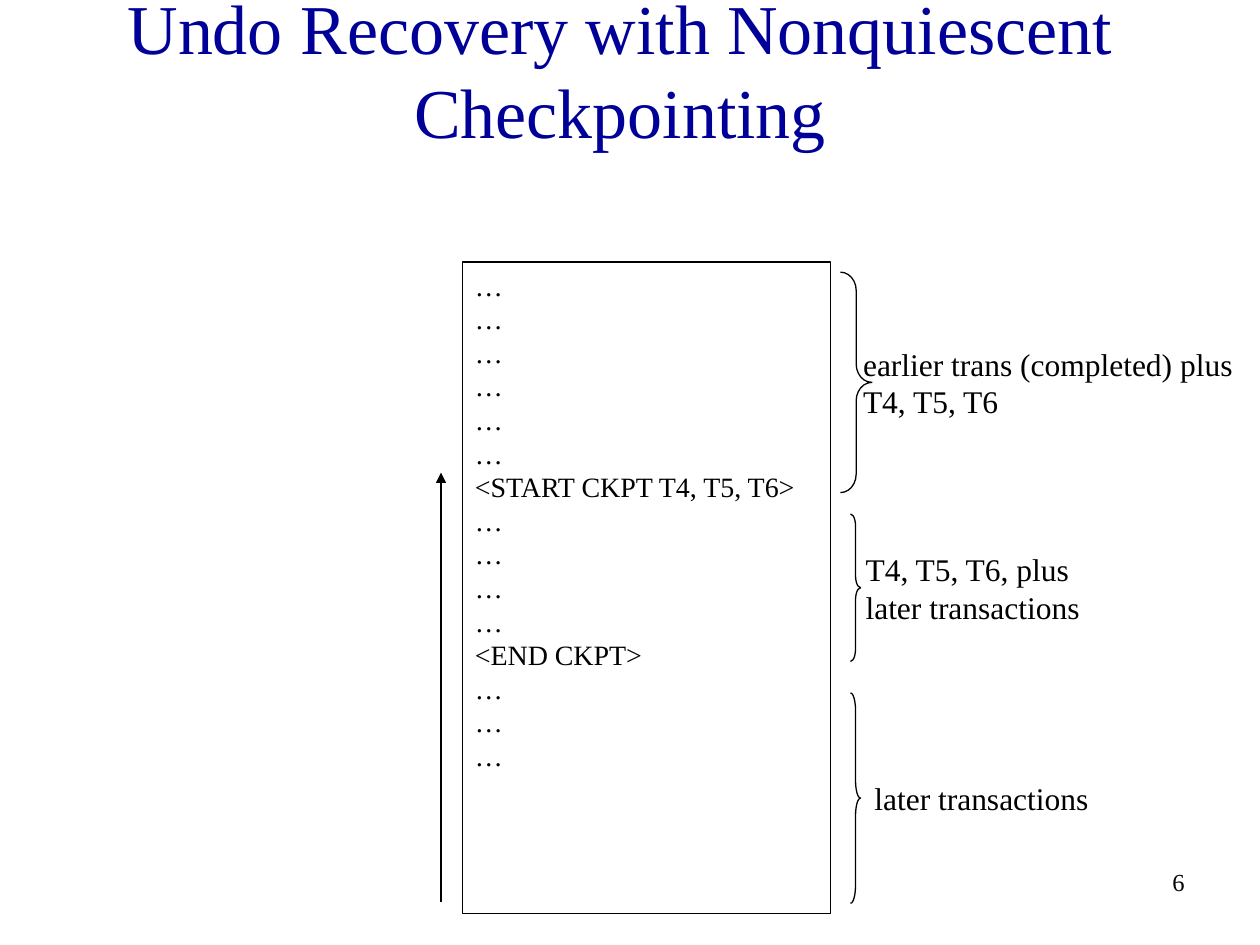
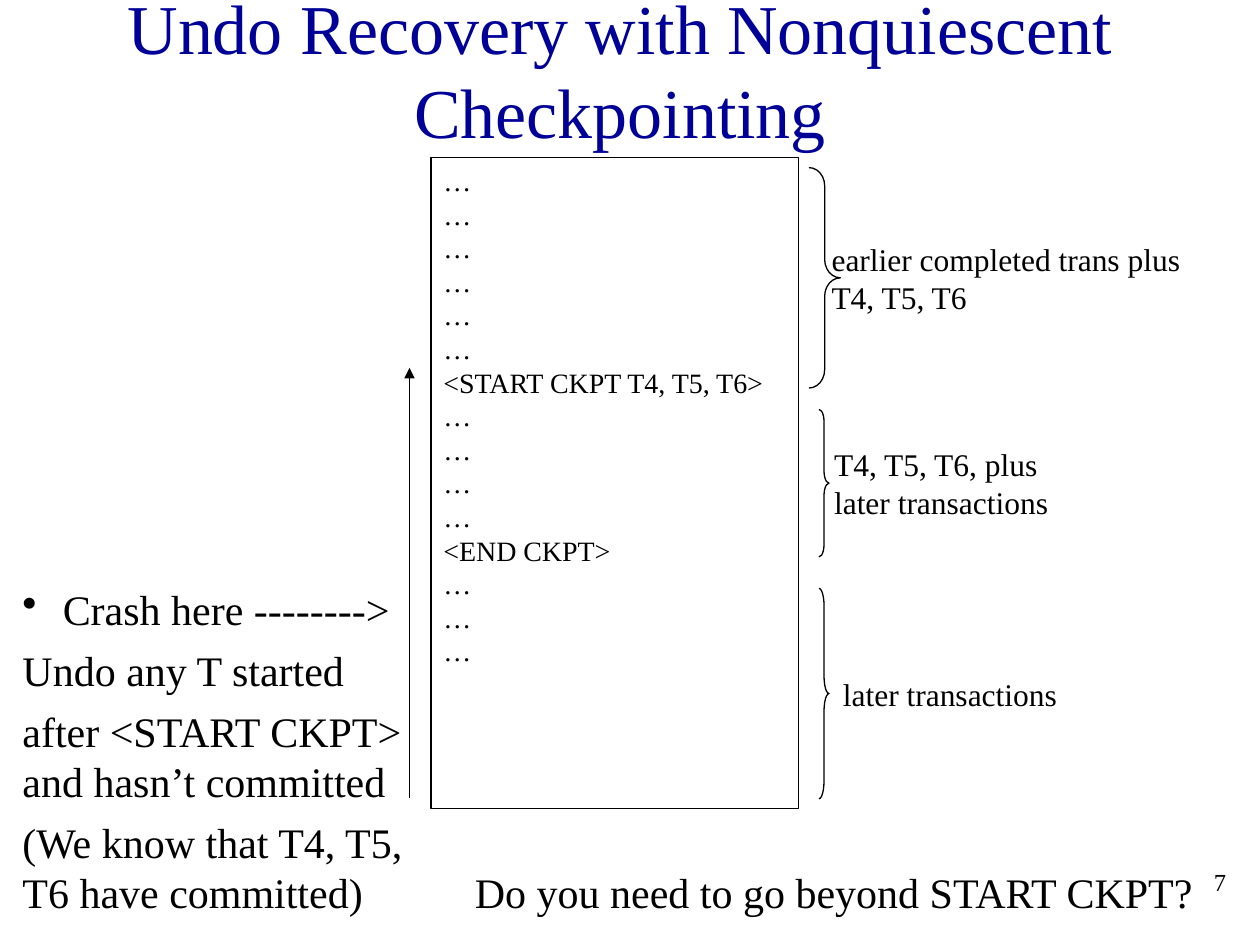
"""Two slides on undo recovery with nonquiescent checkpointing."""
from dataclasses import dataclass

from lxml.etree import SubElement
from pptx import Presentation
from pptx.dml.color import RGBColor
from pptx.enum.shapes import MSO_CONNECTOR, MSO_SHAPE
from pptx.enum.text import MSO_ANCHOR, PP_ALIGN
from pptx.oxml.ns import qn
from pptx.util import Inches, Pt


@dataclass(frozen=True)
class Theme:
    font: str = "Times New Roman"
    ink: RGBColor = RGBColor(0, 0, 0)
    heading: RGBColor = RGBColor(0, 0, 0x99)
    title_size: int = 40
    remark_size: int = 24
    label_size: int = 18
    log_size: int = 16
    number_size: int = 14
    leading: float = 1.2
    line_width: float = 0.75


THEME = Theme()
TITLE = "Undo Recovery with Nonquiescent Checkpointing"
LOG = ["…"] * 6 + ["<START CKPT T4, T5, T6>"] + ["…"] * 4 + ["<END CKPT>"] + ["…"] * 3
LOG_SIZE = (2.92, 5.17)
SCAN_OFFSET, SCAN_START, SCAN_END = -0.17, 5.08, 1.67
LABEL_SIZE = (3.1, 0.8)

# Offsets from the log's corner: brace left, top, width, height, then label left.
PHASES = [
    ((3.0, 0.08, 0.25, 1.75), 3.18),
    ((3.08, 2.0, 0.08, 1.17), 3.2),
    ((3.08, 3.42, 0.08, 1.67), 3.27),
]
LATER_PHASES = [["T4, T5, T6, plus", "later transactions"], ["later transactions"]]

SLIDES = [
    {
        "number": "6",
        "number_left": 7.42,
        "log_corner": (3.67, 2.08),
        "phases": [["earlier trans (completed) plus", "T4, T5, T6"]] + LATER_PHASES,
        "remarks": [],
    },
    {
        "number": "7",
        "number_left": 7.75,
        "log_corner": (3.42, 1.25),
        "phases": [["earlier completed trans plus", "T4, T5, T6"]] + LATER_PHASES,
        "remarks": [
            ((0.08, 4.58, 3.5, 2.75), [
                "Crash here -------->",
                "Undo any T started",
                "after <START CKPT> and hasn’t committed",
                "(We know that T4, T5, T6 have committed)",
            ], True),
            ((3.67, 6.83, 6.17, 0.5), ["Do you need to go beyond START CKPT?"], False),
        ],
    },
]


def write(shape, lines, size, color=THEME.ink, align=PP_ALIGN.LEFT,
          anchor=MSO_ANCHOR.TOP, margins=(0.1, 0.05), before=0):
    frame = shape.text_frame
    frame.word_wrap = True
    frame.vertical_anchor = anchor
    frame.margin_left = frame.margin_right = Inches(margins[0])
    frame.margin_top = frame.margin_bottom = Inches(margins[1])
    frame.text = "\n".join(lines)
    for paragraph in frame.paragraphs:
        paragraph.alignment = align
        paragraph.line_spacing = Pt(size * THEME.leading)
        paragraph.space_before = Pt(before)
        paragraph.font.name = THEME.font
        paragraph.font.size = Pt(size)
        paragraph.font.color.rgb = color
    return frame


def add_text(slide, box, lines, size, **style):
    return write(slide.shapes.add_textbox(*map(Inches, box)), lines, size, **style)


def add_outline(slide, preset, box):
    shape = slide.shapes.add_shape(preset, *map(Inches, box))
    shape.shadow.inherit = False
    shape.fill.background()
    shape.line.color.rgb = THEME.ink
    shape.line.width = Pt(THEME.line_width)
    return shape


def add_scan_arrow(slide, x, start, end):
    arrow = slide.shapes.add_connector(
        MSO_CONNECTOR.STRAIGHT, *map(Inches, (x, start, x, end)))
    arrow.line.color.rgb = THEME.ink
    arrow.line.width = Pt(THEME.line_width)
    properties = arrow._element.spPr
    SubElement(properties.find(qn("a:ln")), qn("a:tailEnd"), type="triangle")
    SubElement(properties, qn("a:effectLst"))


def add_phase(slide, corner, brace_offsets, label_offset, lines):
    left, top = corner
    dx, dy, width, height = brace_offsets
    brace = add_outline(slide, MSO_SHAPE.RIGHT_BRACE, (left + dx, top + dy, width, height))
    brace.adjustments[0] = height / 12 / width
    label_width, label_height = LABEL_SIZE
    label_top = top + dy + (height - label_height) / 2
    add_text(slide, (left + label_offset, label_top, label_width, label_height), lines,
             THEME.label_size, anchor=MSO_ANCHOR.MIDDLE, margins=(0, 0))


def add_bullet(paragraph):
    properties = paragraph._p.get_or_add_pPr()
    properties.set("marL", str(Inches(0.32)))
    properties.set("indent", str(-Inches(0.32)))
    bullet = properties.makeelement(qn("a:buChar"), {"char": "•"})
    properties.find(qn("a:defRPr")).addprevious(bullet)


def build_slide(deck, content):
    slide = deck.slides.add_slide(deck.slide_layouts[6])
    add_text(slide, (content["number_left"], 6.83, 2.08, 0.5), [content["number"]],
             THEME.number_size, align=PP_ALIGN.RIGHT)
    add_text(slide, (0.17, 0.17, 9.5, 0.75), [TITLE], THEME.title_size,
             color=THEME.heading, align=PP_ALIGN.CENTER, anchor=MSO_ANCHOR.MIDDLE,
             margins=(0, 0))
    corner = left, top = content["log_corner"]
    write(add_outline(slide, MSO_SHAPE.RECTANGLE, corner + LOG_SIZE), LOG, THEME.log_size)
    add_scan_arrow(slide, left + SCAN_OFFSET, top + SCAN_START, top + SCAN_END)
    for (brace_offsets, label_offset), lines in zip(PHASES, content["phases"]):
        add_phase(slide, corner, brace_offsets, label_offset, lines)
    for box, lines, bulleted in content["remarks"]:
        remark = add_text(slide, box, lines, THEME.remark_size, before=6)
        if bulleted:
            add_bullet(remark.paragraphs[0])


def main():
    deck = Presentation()
    deck.slide_width, deck.slide_height = Inches(10), Inches(7.5)
    for content in SLIDES:
        build_slide(deck, content)
    deck.save("out.pptx")


if __name__ == "__main__":
    main()
